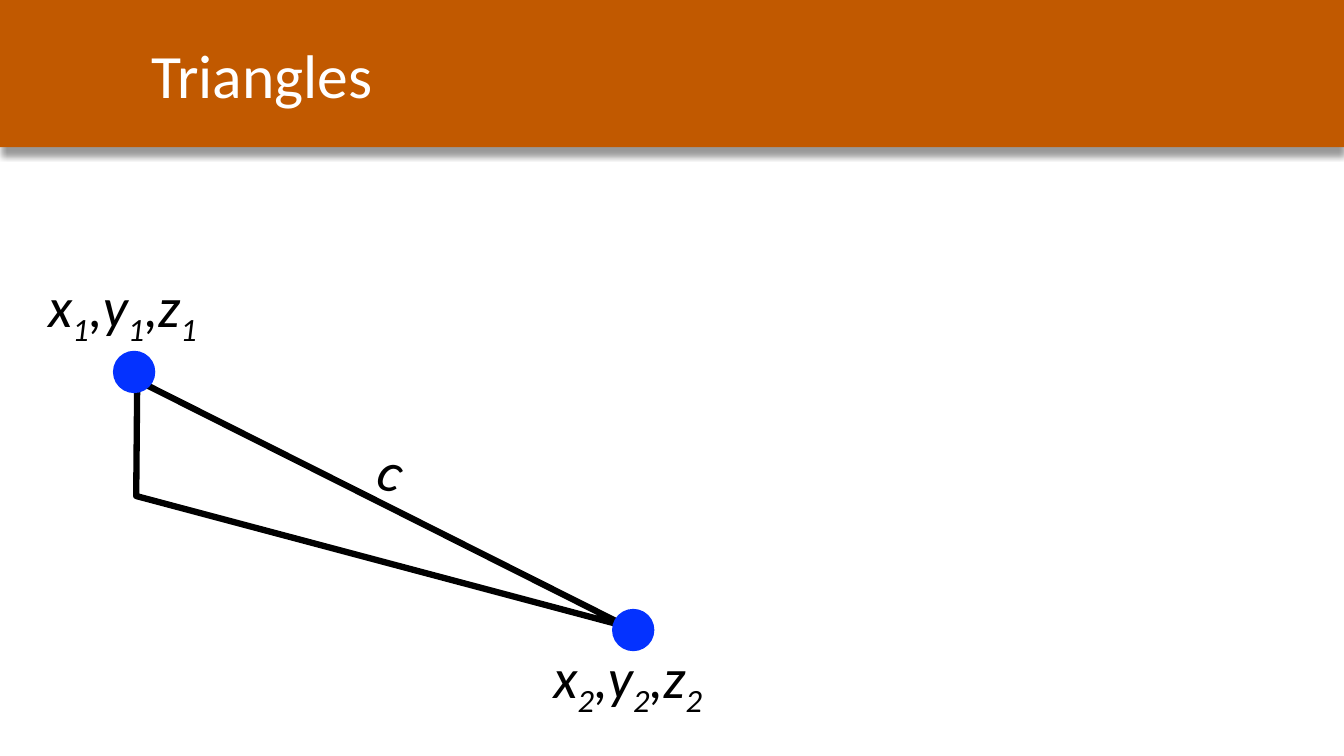
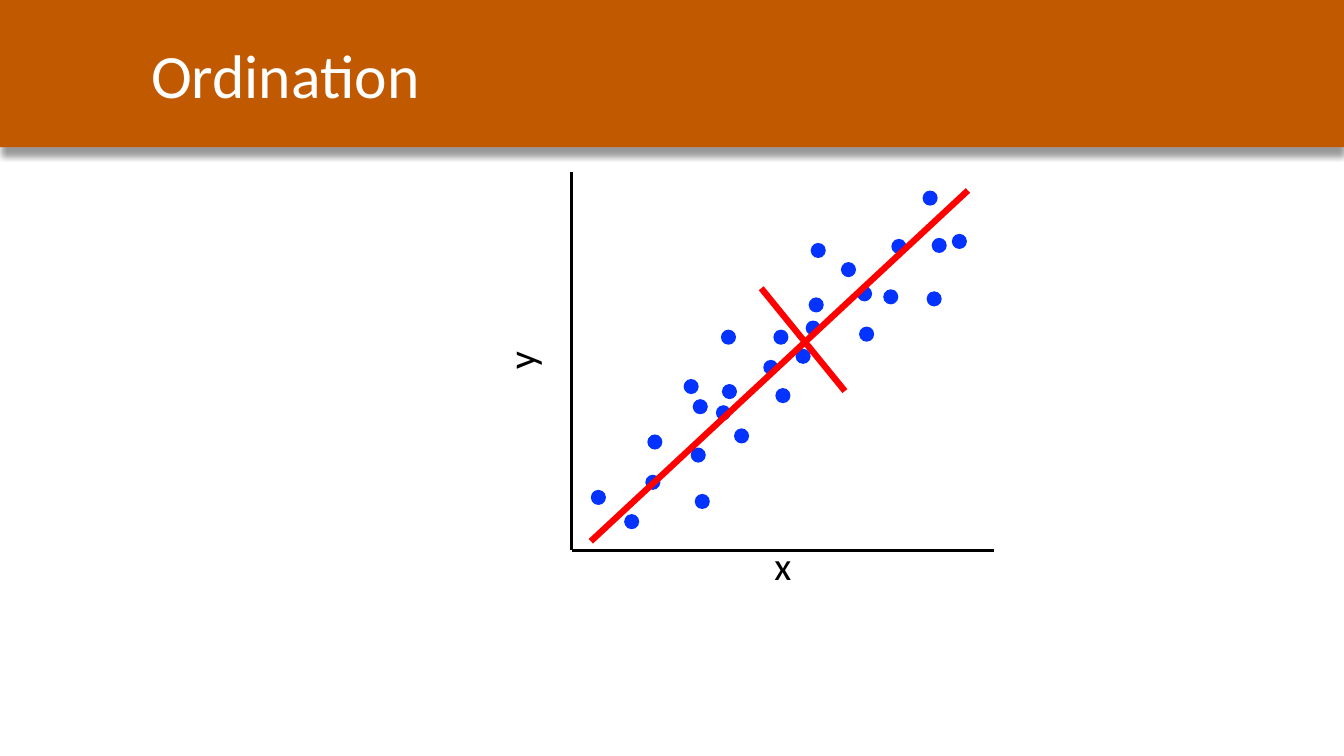
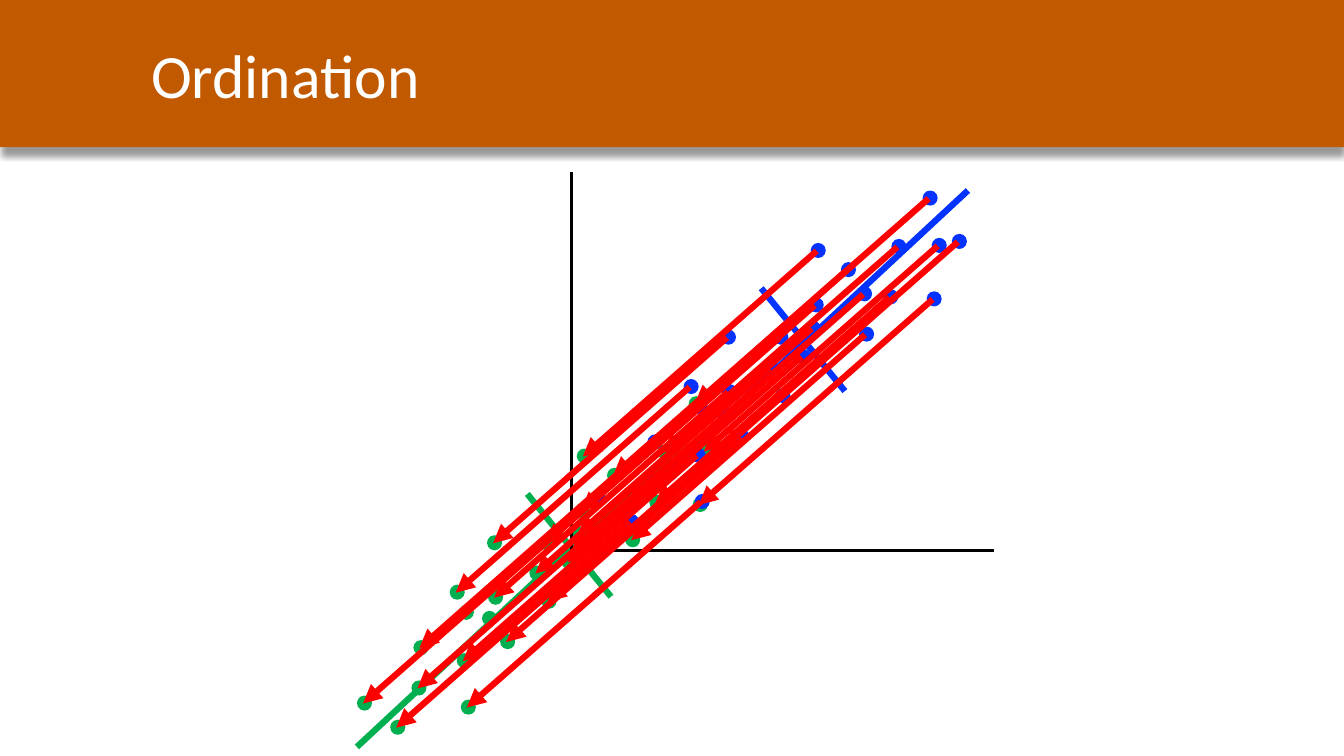
"""Build three slides on distance triangles and ordination."""
from lxml.etree import SubElement
from pptx import Presentation
from pptx.dml.color import RGBColor
from pptx.enum.shapes import MSO_CONNECTOR, MSO_SHAPE
from pptx.enum.text import MSO_ANCHOR, MSO_AUTO_SIZE, PP_ALIGN
from pptx.oxml.ns import qn
from pptx.util import Cm, Pt

COLORS = {"band": "C15900", "white": "FFFFFF", "black": "000000",
          "blue": "0432FF", "green": "00B050", "red": "FF0000"}
FONT = "Calibri"
SLIDE_SIZE = (13.33, 7.5)

TRIANGLE = {"box": (0.84, 4.94, 5.44, 1.03), "angle": 206.7, "apex": 0.907}
CORNERS = [("1", (1.12, 3.48), (0.38, 2.64)), ("2", (6.07, 6.04), (5.39, 6.33))]
CORNER_SIZE = 0.42

DOT_SIZE = 0.15
DOTS = [
    (9.19, 2.89), (8.76, 2.87), (9.24, 2.36), (8.02, 2.95), (7.69, 3.85),
    (7.99, 3.18), (6.42, 4.31), (8.34, 2.6), (7.1, 4.02), (7.15, 3.27),
    (8.84, 2.37), (7.67, 3.27), (5.86, 4.86), (7.57, 3.57), (6.89, 4.9),
    (8.5, 2.84), (7.89, 3.46), (6.78, 3.76), (6.87, 3.96), (6.4, 4.71),
    (7.16, 3.81), (8.52, 3.24), (6.19, 5.1), (8.04, 2.41), (7.28, 4.25),
    (9.44, 2.32), (9.15, 1.89), (6.85, 4.44),
]
DOTS_WITHOUT_ARROW = [(7.1, 4.02), (6.87, 3.96)]
ORIGIN = (5.67, 5.46)
AXIS_ENDS = [(5.67, 1.71), (9.86, 5.46)]
COMPONENTS = [((7.55, 2.86), (8.38, 3.88)), ((5.86, 5.37), (9.6, 1.89))]
CENTROID = (7.99, 3.42)
SHIFT = (-2.32, 2.04)
ARROW_START = (0.06, 0.08)
AXIS_LABELS = [("x", (5.67, 5.32, 4.19, 0.45), 0), ("y", (3.24, 3.34, 3.75, 0.48), 270)]


def inches(*values):
    return [Cm(v * 2.54) for v in values]


def rgb(name):
    return RGBColor.from_string(COLORS[name])


def moved(point, offset):
    return point[0] + offset[0], point[1] + offset[1]


def add_filled(shapes, kind, box, color):
    sp = shapes.add_shape(kind, *inches(*box))
    sp.fill.solid()
    sp.fill.fore_color.rgb = rgb(color)
    sp.line.fill.background()
    sp.shadow.inherit = False
    return sp


def add_line(shapes, start, end, color, width=4.5, arrow=False):
    line = shapes.add_connector(MSO_CONNECTOR.STRAIGHT, *inches(*start, *end))
    line.line.color.rgb = rgb(color)
    line.line.width = Pt(width)
    if arrow:
        SubElement(line.line._get_or_add_ln(), qn("a:tailEnd"), type="triangle")
    SubElement(line._element.spPr, qn("a:effectLst"))


def add_text(slide, box, parts, size, color="black", italic=False, angle=0,
             wrap=True, grow=True, align=None):
    sp = slide.shapes.add_textbox(*inches(*box))
    sp.rotation = angle
    tf = sp.text_frame
    tf.word_wrap = wrap
    tf.auto_size = MSO_AUTO_SIZE.SHAPE_TO_FIT_TEXT if grow else MSO_AUTO_SIZE.NONE
    p = tf.paragraphs[0]
    p.alignment = align
    for text, subscript in parts:
        r = p.add_run()
        r.text = text
        r.font.name = FONT
        r.font.size = Pt(size)
        r.font.italic = italic
        r.font.color.rgb = rgb(color)
        if subscript:
            r._r.get_or_add_rPr().set("baseline", "-25000")
    return sp


def add_header(slide, title):
    band = add_filled(slide.shapes, MSO_SHAPE.RECTANGLE, (0, 0, SLIDE_SIZE[0], 1.46), "band")
    effects = band._element.spPr.find(qn("a:effectLst"))
    shadow = SubElement(effects, qn("a:outerShdw"), blurRad=str(Pt(4)), dist=str(Pt(6)),
                        dir="5400000", algn="t", rotWithShape="0")
    shade = SubElement(shadow, qn("a:srgbClr"), val=COLORS["black"])
    SubElement(shade, qn("a:alpha"), val="40000")
    sp = add_text(slide, (1.4, 0.12, 11.93, 1.22), [(title, False)], 44, "white", grow=False)
    sp.text_frame.vertical_anchor = MSO_ANCHOR.MIDDLE


def add_dots(slide, color, offset=(0, 0)):
    group = slide.shapes.add_group_shape()
    for dot in DOTS:
        box = (*moved(dot, offset), DOT_SIZE, DOT_SIZE)
        add_filled(group.shapes, MSO_SHAPE.OVAL, box, color)


def add_components(slide, color, offset=(0, 0)):
    for start, end in COMPONENTS:
        add_line(slide.shapes, moved(start, offset), moved(end, offset), color)


def add_axes(slide):
    for end in AXIS_ENDS:
        add_line(slide.shapes, ORIGIN, end, "black", 2.25)


def build_triangles(slide):
    sp = slide.shapes.add_shape(MSO_SHAPE.ISOSCELES_TRIANGLE, *inches(*TRIANGLE["box"]))
    sp.adjustments[0] = TRIANGLE["apex"]
    sp.rotation = TRIANGLE["angle"]
    sp.fill.background()
    sp.line.color.rgb = rgb("black")
    sp.line.width = Pt(4.5)
    sp.shadow.inherit = False
    add_header(slide, "Triangles")
    add_text(slide, (3.67, 4.27, 0.44, 0.77), [("c", False)], 40,
             italic=True, angle=16.3, wrap=False)
    for index, corner, label in CORNERS:
        add_filled(slide.shapes, MSO_SHAPE.OVAL, (*corner, CORNER_SIZE, CORNER_SIZE), "blue")
        parts = [part for axis in ("x", ",y", ",z") for part in ((axis, False), (index, True))]
        add_text(slide, (*label, 1.77, 0.77), parts, 40, italic=True, wrap=False)


def build_ordination(slide):
    add_header(slide, "Ordination")
    add_dots(slide, "blue")
    add_axes(slide)
    for text, box, angle in AXIS_LABELS:
        add_text(slide, box, [(text, False)], 28, angle=angle, align=PP_ALIGN.CENTER)
    add_components(slide, "red")


def build_centering(slide):
    add_dots(slide, "green", SHIFT)
    add_components(slide, "green", SHIFT)
    add_header(slide, "Ordination")
    add_axes(slide)
    add_dots(slide, "blue")
    add_components(slide, "blue")
    starts = [moved(dot, ARROW_START) for dot in DOTS if dot not in DOTS_WITHOUT_ARROW]
    for start in [CENTROID, *starts]:
        add_line(slide.shapes, start, moved(start, SHIFT), "red", arrow=True)


def main():
    prs = Presentation()
    prs.slide_width, prs.slide_height = inches(*SLIDE_SIZE)
    for build in (build_triangles, build_ordination, build_centering):
        build(prs.slides.add_slide(prs.slide_layouts[6]))
    prs.save("out.pptx")


if __name__ == "__main__":
    main()
